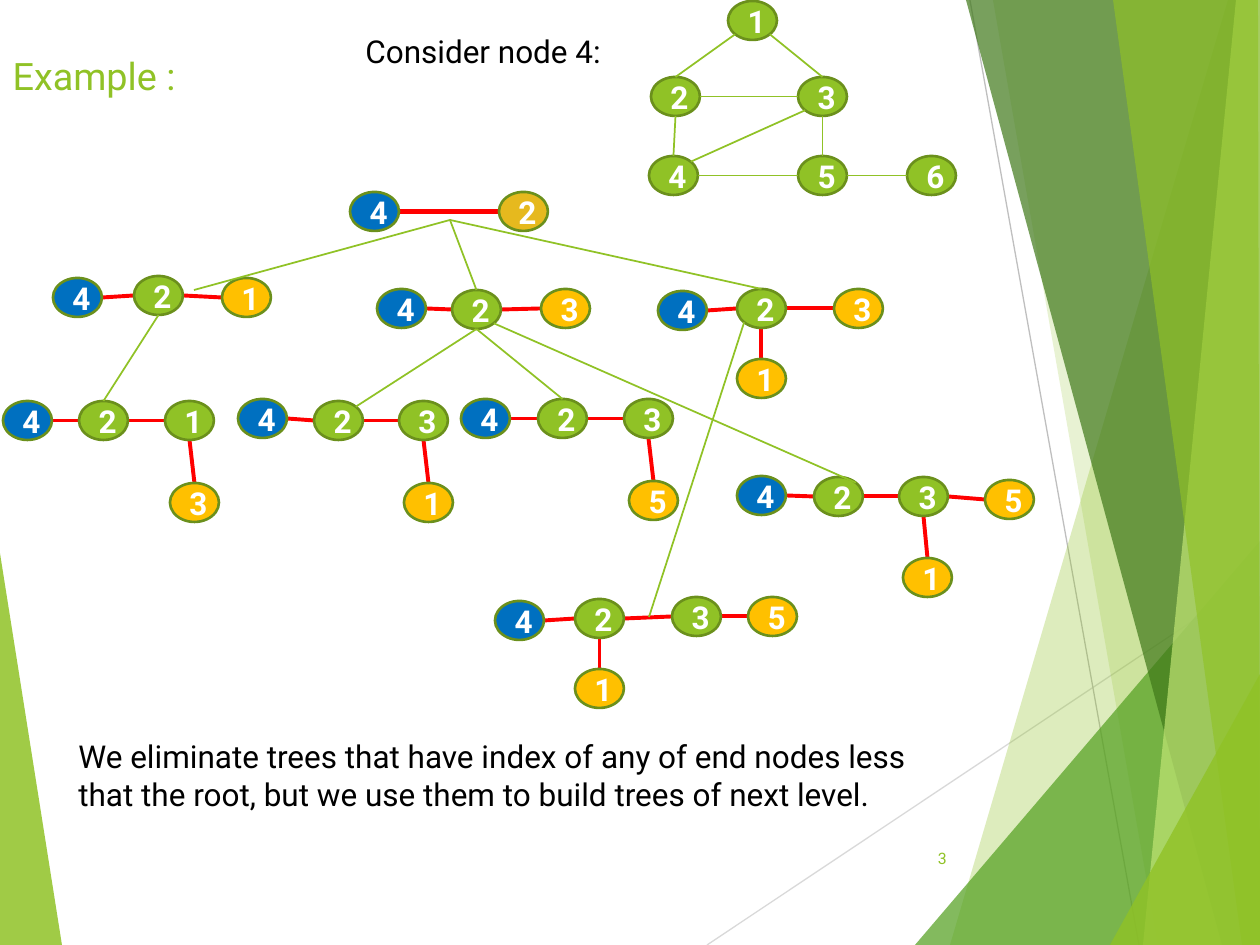
from lxml import etree
from pptx import Presentation
from pptx.dml.color import RGBColor
from pptx.enum.shapes import MSO_CONNECTOR, MSO_SHAPE
from pptx.enum.text import MSO_ANCHOR, MSO_AUTO_SIZE, PP_ALIGN
from pptx.oxml.ns import qn
from pptx.util import Emu, Pt

SCALE = 914400 / 126
FONT = "Roboto"
GREEN, DARK_GREEN, BLUE, AMBER, RED = "90C226", "6B901C", "0070C0", "FFC000", "FF0000"
WHITE, BLACK = "FFFFFF", "000000"
NODE_W, NODE_H = 49, 39
DIAGONAL = 0.146  # share of the box cut off at an ellipse's diagonal points
SIDES = {
    "t": (0.5, 0), "b": (0.5, 1), "l": (0, 0.5), "r": (1, 0.5),
    "tr": (1 - DIAGONAL, DIAGONAL),
    "bl": (DIAGONAL, 1 - DIAGONAL), "br": (1 - DIAGONAL, 1 - DIAGONAL),
}

# Facets: outline, colour, opacity in percent
LEFT_FACET = ([(0, 553), (62, 945), (0, 945)], GREEN, 85)
RIGHT_FACETS = [
    ([(1228, 0), (950, 945), (1260, 945), (1260, 0)], GREEN, 30),
    ([(993, 0), (1158, 945), (1260, 945), (1260, 0)], GREEN, 20),
    ([(915, 945), (1260, 541), (1260, 945)], "54A021", 72),
    ([(966, 0), (1222, 945), (1260, 945), (1260, 0)], "3F7819", 70),
    ([(1236, 0), (1143, 945), (1260, 945), (1260, 0)], "C0E474", 70),
    ([(1113, 0), (1242, 945), (1260, 945), (1258, 0)], GREEN, 65),
    ([(1110, 945), (1260, 674), (1260, 945)], GREEN, 80),
]

GRAPH_NODES = {
    "1": (728, 1), "2": (651, 77), "3": (798, 77),
    "4": (649, 156), "5": (798, 156), "6": (907, 156),
}
GRAPH_EDGES = ["1bl 2t", "1br 3t", "2b 4t", "4r 5l", "3b 5t", "2r 3l", "4tr 3bl", "5r 6l"]

# Trees: node positions, parent-child links; the root is always node 4
ROOT_TREE = ({"4": (350, 192), "2": (499, 192)}, "42")
TREES = {
    "2-1": ({"4": (53, 278), "2": (134, 276), "1": (222, 278)}, "42 21"),
    "2-3": ({"4": (377, 289), "2": (452, 290), "3": (541, 289)}, "42 23"),
    "2-31": ({"4": (658, 291), "2": (737, 289), "3": (834, 289), "1": (737, 359)},
             "42 23 21"),
    "2-1-3": ({"4": (3, 401), "2": (79, 401), "1": (165, 401), "3": (170, 483)},
              "42 21 13"),
    "2-3-1": ({"4": (238, 399), "2": (314, 401), "3": (399, 401), "1": (404, 483)},
              "42 23 31"),
    "2-3-5": ({"4": (461, 399), "2": (538, 399), "3": (624, 399), "5": (629, 481)},
              "42 23 35"),
    "2-3-15": ({"4": (737, 476), "2": (814, 477), "3": (899, 477), "1": (903, 558),
                "5": (985, 480)}, "42 23 31 35"),
    "2-31-5": ({"4": (495, 601), "2": (575, 599), "3": (672, 597), "1": (575, 669),
                "5": (748, 597)}, "42 23 21 35"),
}


def px(length):
    return Emu(round(length * SCALE))


def rgb(colour):
    return RGBColor.from_string(colour)


def add_run(frame, text, size, colour, align=PP_ALIGN.LEFT, bold=False):
    paragraph = frame.paragraphs[0]
    paragraph.alignment = align
    run = paragraph.add_run()
    run.text = text
    run.font.name, run.font.size, run.font.bold = FONT, Pt(size), bold
    run.font.color.rgb = rgb(colour)


def add_label(slide, text, box, size, colour, align=PP_ALIGN.LEFT, anchor=MSO_ANCHOR.TOP):
    frame = slide.shapes.add_textbox(*map(px, box)).text_frame
    frame.word_wrap = True
    frame.vertical_anchor = anchor
    add_run(frame, text, size, colour, align)


def set_title(slide, text, box):
    title = slide.shapes.title
    title.left, title.top, title.width, title.height = map(px, box)
    frame = title.text_frame
    frame.auto_size = MSO_AUTO_SIZE.NONE
    frame.vertical_anchor = MSO_ANCHOR.TOP
    add_run(frame, text, 21.6, GREEN)


def add_facet(slide, outline, colour, opacity):
    builder = slide.shapes.build_freeform(*outline[0], scale=SCALE)
    builder.add_line_segments(outline[1:], close=True)
    facet = builder.convert_to_shape()
    facet.shadow.inherit = False
    facet.line.fill.background()
    facet.fill.solid()
    facet.fill.fore_color.rgb = rgb(colour)
    tint = next(facet.fill._xPr.iter(qn("a:srgbClr")))
    etree.SubElement(tint, qn("a:alpha")).set("val", str(opacity * 1000))


def add_line(slide, start, end, colour, width):
    line = slide.shapes.add_connector(MSO_CONNECTOR.STRAIGHT, *map(px, start + end))
    line.line.color.rgb = rgb(colour)
    line.line.width = Pt(width)
    etree.SubElement(line._element.spPr, qn("a:effectLst"))


def add_node(slide, label, position, colour):
    node = slide.shapes.add_shape(
        MSO_SHAPE.OVAL, *map(px, position + (NODE_W, NODE_H)))
    node.shadow.inherit = False
    node.fill.solid()
    node.fill.fore_color.rgb = rgb(colour)
    node.line.color.rgb = rgb(DARK_GREEN)
    node.line.width = Pt(1.5)
    node.text_frame.vertical_anchor = MSO_ANCHOR.MIDDLE
    add_run(node.text_frame, label, 18, WHITE, PP_ALIGN.CENTER, bold=True)


def side_point(nodes, end):
    """Point on a node's outline; end is its label and side, such as '4tr'."""
    x, y = nodes[end[0]]
    across, down = SIDES[end[1:]]
    return x + across * NODE_W, y + down * NODE_H


def add_graph(slide):
    for label, position in GRAPH_NODES.items():
        add_node(slide, label, position, GREEN)
    for edge in GRAPH_EDGES:
        start, end = (side_point(GRAPH_NODES, part) for part in edge.split())
        add_line(slide, start, end, GREEN, 1)


def add_tree(slide, nodes, links, leaf_colour=AMBER, width=2.25):
    """Red links run sideways, or down to a child standing below its parent."""
    links = links.split()
    parents = {parent for parent, child in links}
    for parent, child in links:
        beside = nodes[child][0] - nodes[parent][0] > NODE_W
        out, into = ("r", "l") if beside else ("b", "t")
        add_line(slide, side_point(nodes, parent + out),
                 side_point(nodes, child + into), RED, width)
    for label, position in nodes.items():
        inner_colour = GREEN if label in parents else leaf_colour
        add_node(slide, label, position, BLUE if label == "4" else inner_colour)


def add_branches(slide):
    """Green lines from each tree to the trees grown from it."""
    def at_two(tree, side):
        return side_point(TREES[tree][0], "2" + side)

    stem = (450, 220)
    for start, end in [
        (stem, (194, 290)),
        (stem, at_two("2-3", "t")),
        (stem, at_two("2-31", "t")),
        (at_two("2-1", "b"), at_two("2-1-3", "t")),
        (at_two("2-3", "b"), at_two("2-3-1", "tr")),
        (at_two("2-3", "b"), at_two("2-3-5", "t")),
        (at_two("2-3", "br"), at_two("2-3-15", "tr")),
        (at_two("2-31", "bl"), (649, 617)),
    ]:
        add_line(slide, start, end, GREEN, 1)


def main():
    deck = Presentation()
    deck.slide_width, deck.slide_height = px(1260), px(945)
    slide = deck.slides.add_slide(deck.slide_layouts[5])

    add_facet(slide, *LEFT_FACET)
    add_line(slide, (707, 945), (1260, 576), "D9D9D9", 0.75)
    add_line(slide, (970, 0), (1139, 945), "BFBFBF", 0.75)
    for facet in RIGHT_FACETS:
        add_facet(slide, *facet)

    set_title(slide, "Example :", (0, 46, 203, 69))
    add_label(slide, "3", (888, 833, 71, 50), 9, GREEN, PP_ALIGN.RIGHT, MSO_ANCHOR.MIDDLE)
    add_label(slide, "Consider node 4:", (353, 26, 338, 50), 18, BLACK)
    add_graph(slide)
    add_tree(slide, *ROOT_TREE, leaf_colour="E6B91E", width=3)
    for tree in TREES.values():
        add_tree(slide, *tree)
    add_branches(slide)
    add_label(slide, "We eliminate trees that have index of any of end nodes less that the root, "
              "but we use them to build trees of next level.", (66, 731, 866, 127), 18, BLACK)
    deck.save("out.pptx")


if __name__ == "__main__":
    main()
